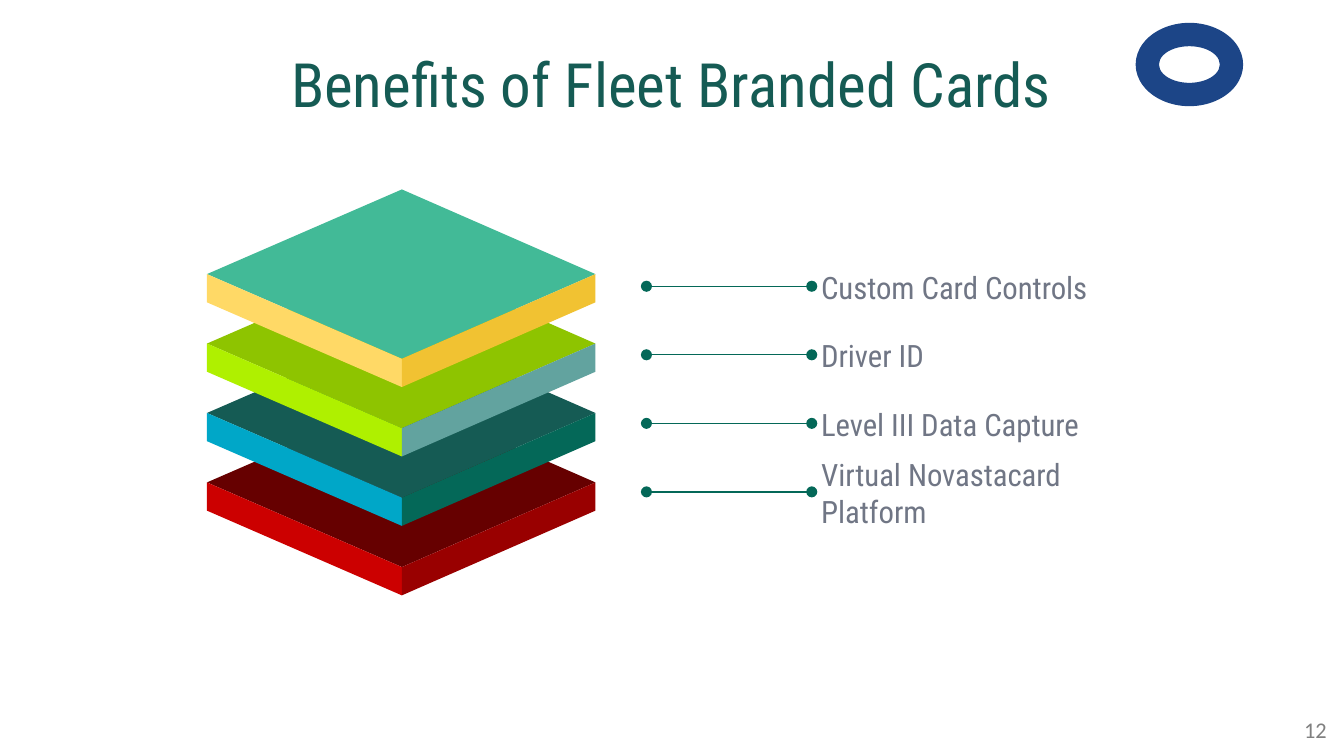
from lxml.etree import SubElement
from pptx import Presentation
from pptx.dml.color import RGBColor
from pptx.enum.shapes import MSO_CONNECTOR, MSO_SHAPE
from pptx.enum.text import MSO_ANCHOR, PP_ALIGN
from pptx.oxml.ns import qn
from pptx.util import Inches, Pt

TITLE_GREEN = RGBColor(0x15, 0x5B, 0x54)
LINE_GREEN = RGBColor(0x04, 0x68, 0x58)
LABEL_GRAY = RGBColor(0x70, 0x76, 0x85)
NUMBER_GRAY = RGBColor(0x80, 0x80, 0x80)
EMBLEM_BLUE = RGBColor(0x1C, 0x45, 0x87)

# Label, then top, left and right face colours, from the top layer down
LAYERS = [
    ("Custom Card Controls", RGBColor(0x42, 0xBA, 0x97),
     RGBColor(0xFF, 0xD9, 0x66), RGBColor(0xF1, 0xC2, 0x32)),
    ("Driver ID", RGBColor(0x8E, 0xC4, 0x00),
     RGBColor(0xAF, 0xF0, 0x00), RGBColor(0x62, 0xA3, 0x9F)),
    ("Level III Data Capture", TITLE_GREEN,
     RGBColor(0x00, 0xA7, 0xC8), LINE_GREEN),
    ("Virtual Novastacard Platform", RGBColor(0x66, 0x00, 0x00),
     RGBColor(0xCC, 0x00, 0x00), RGBColor(0x99, 0x00, 0x00)),
]

# Stack geometry in inches
STACK_LEFT, STACK_MIDDLE, STACK_RIGHT = 1.54, 2.99, 4.43
STACK_TOP, STACK_STEPS = 1.41, 1.55
LAYER_STEP = STACK_STEPS / (len(LAYERS) - 1)
HALF_HEIGHT, THICKNESS = 0.63, 0.21
LABEL_STEP = 0.51


def fill_plain(shape, color):
    shape.shadow.inherit = False
    shape.fill.solid()
    shape.fill.fore_color.rgb = color
    shape.line.fill.background()


def add_text(slide, text, left, top, width, height, font_name, size, color,
             align=PP_ALIGN.LEFT, anchor=MSO_ANCHOR.MIDDLE, margin=0):
    box = slide.shapes.add_textbox(
        Inches(left), Inches(top), Inches(width), Inches(height))
    frame = box.text_frame
    frame.text = text
    frame.word_wrap = True
    frame.vertical_anchor = anchor
    frame.margin_left = frame.margin_right = Inches(margin)
    frame.margin_top = frame.margin_bottom = Inches(margin / 2)
    paragraph = frame.paragraphs[0]
    paragraph.alignment = align
    font = paragraph.runs[0].font
    font.name = font_name
    font.size = Pt(size)
    font.color.rgb = color


def add_face(slide, points, color):
    start, *rest = [(Inches(x), Inches(y)) for x, y in points]
    builder = slide.shapes.build_freeform(*start)
    builder.add_line_segments(rest, close=True)
    fill_plain(builder.convert_to_shape(), color)


def add_layer(slide, top, top_color, left_color, right_color):
    side = top + HALF_HEIGHT
    front = side + HALF_HEIGHT
    add_face(slide, [(STACK_MIDDLE, top), (STACK_LEFT, side),
                     (STACK_MIDDLE, front), (STACK_RIGHT, side)], top_color)
    for edge, color in ((STACK_LEFT, left_color), (STACK_RIGHT, right_color)):
        add_face(slide, [(edge, side), (edge, side + THICKNESS),
                         (STACK_MIDDLE, front + THICKNESS),
                         (STACK_MIDDLE, front)], color)


def add_dotted_end_line(slide, left, right, y):
    connector = slide.shapes.add_connector(
        MSO_CONNECTOR.STRAIGHT, Inches(left), Inches(y), Inches(right), Inches(y))
    connector.line.color.rgb = LINE_GREEN
    connector.line.width = Pt(0.75)
    line = connector.line._get_or_add_ln()
    for end in ("a:headEnd", "a:tailEnd"):
        SubElement(line, qn(end), type="oval")
    SubElement(connector._element.spPr, qn("a:effectLst"))


def main():
    # Widescreen slide, 16 to 9
    presentation = Presentation()
    presentation.slide_width = Inches(10)
    presentation.slide_height = Inches(10 * 9 / 16)
    slide = presentation.slides.add_slide(presentation.slide_layouts[6])

    # Page number and title
    add_text(slide, "12", 9.47, 5.28, 0.5, 0.3, "Calibri", 12, NUMBER_GRAY,
             align=PP_ALIGN.RIGHT, anchor=MSO_ANCHOR.TOP, margin=0.1)
    add_text(slide, "Benefits of Fleet Branded Cards", 1.54, 0.17, 6.91, 0.9,
             "Roboto Condensed", 32.7, TITLE_GREEN,
             align=PP_ALIGN.CENTER, margin=0.07)

    # Plain ring as the emblem
    ring = slide.shapes.add_shape(
        MSO_SHAPE.DONUT, Inches(8.45), Inches(0.17), Inches(0.8), Inches(0.62))
    ring.adjustments[0] = 0.28
    fill_plain(ring, EMBLEM_BLUE)

    # Stack, drawn from the bottom layer up
    for index, (_, *colors) in reversed(list(enumerate(LAYERS))):
        add_layer(slide, STACK_TOP + index * LAYER_STEP, *colors)

    # Lines and labels
    for index, (label, *_) in enumerate(LAYERS):
        y = 2.13 + index * LABEL_STEP
        add_dotted_end_line(slide, 4.81, 6.04, y)
        add_text(slide, label, 6.11, y - 0.11, 2.34, 0.23,
                 "Roboto Condensed", 16.5, LABEL_GRAY)

    presentation.save("out.pptx")


if __name__ == "__main__":
    main()
